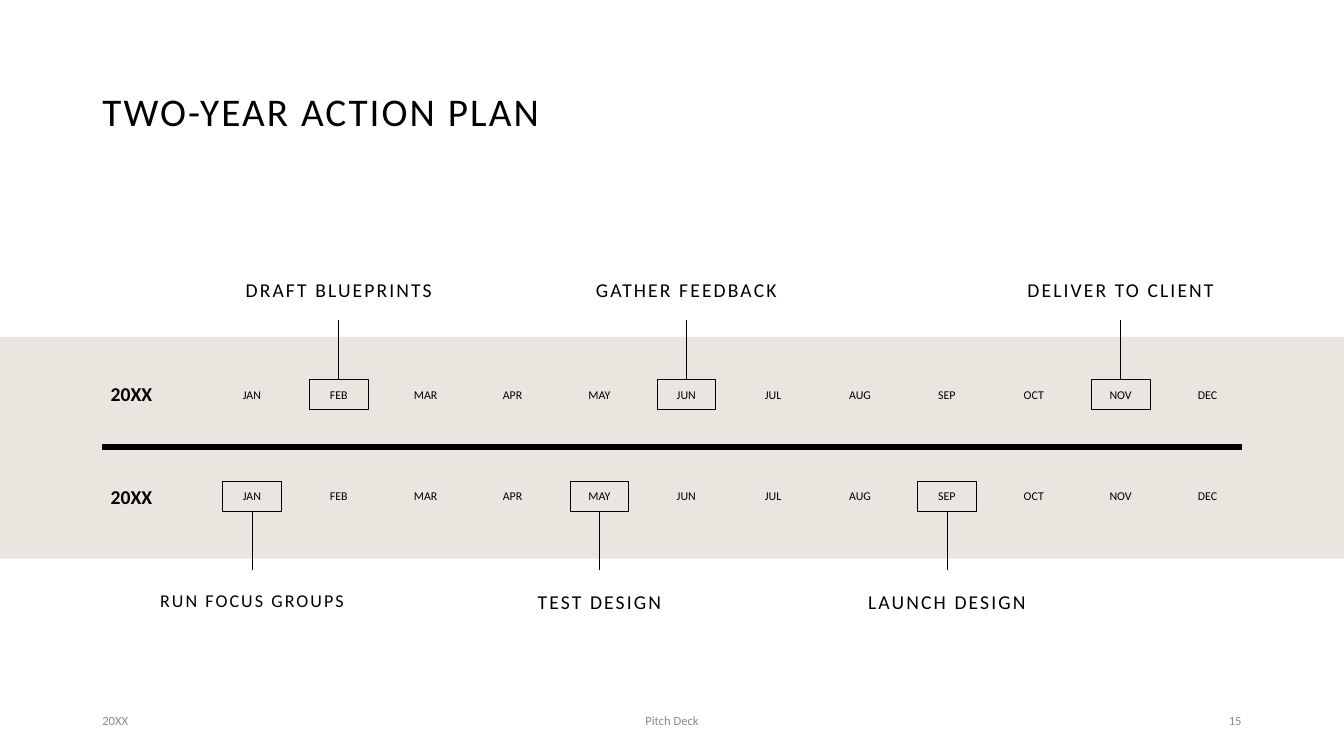
from dataclasses import dataclass

import pptx
import pptx.dml.color
import pptx.enum.shapes
import pptx.enum.text
import pptx.oxml.ns
import pptx.util
from lxml import etree

Pt = pptx.util.Pt
RGB = pptx.dml.color.RGBColor
Align = pptx.enum.text.PP_ALIGN
Anchor = pptx.enum.text.MSO_ANCHOR
Shape = pptx.enum.shapes.MSO_SHAPE


@dataclass(frozen=True)
class Theme:
    font: str = "Calibri"
    ink: RGB = RGB(0, 0, 0)
    band: RGB = RGB(0xE9, 0xE6, 0xDF)
    muted: RGB = RGB(0x8C, 0x8C, 0x8C)
    title: float = 28
    label: float = 14
    month: float = 8.5
    footer: float = 9
    tracking: float = 1.5


@dataclass(frozen=True)
class Style:
    size: float
    color: RGB = Theme.ink
    align: Align = Align.CENTER
    anchor: Anchor = Anchor.TOP
    spacing: float = 1.0
    before: float = 0
    bold: bool = False
    tracking: float = 0


@dataclass(frozen=True)
class Milestone:
    month: str
    text: str
    size: float = Theme.label


@dataclass(frozen=True)
class YearRow:
    year: str
    year_top: float
    month_top: float
    box_top: float
    tick_end: float
    label_top: float
    label_anchor: Anchor
    box_site: int
    milestones: tuple[Milestone, ...]


MONTHS = ("JAN", "FEB", "MAR", "APR", "MAY", "JUN",
          "JUL", "AUG", "SEP", "OCT", "NOV", "DEC")
FIRST_MONTH, MONTH_STEP = 180, 62.05
BOX_W, BOX_H = 42, 21.6
LABEL_W, LABEL_H = 162, 44

ROWS = (
    YearRow("20XX", 264.2, 275.8, 270.8, 228.8, 175, Anchor.BOTTOM, 0, (
        Milestone("FEB", "DRAFT BLUEPRINTS"),
        Milestone("JUN", "GATHER FEEDBACK"),
        Milestone("NOV", "DELIVER TO CLIENT"))),
    YearRow("20XX", 337.7, 348.5, 343.6, 407.5, 409.7, Anchor.TOP, 2, (
        Milestone("JAN", "RUN FOCUS GROUPS", 12.9),
        Milestone("MAY", "TEST DESIGN"),
        Milestone("SEP", "LAUNCH DESIGN"))),
)

TITLE = Style(Theme.title, align=Align.LEFT, anchor=Anchor.MIDDLE,
              spacing=0.9, tracking=Theme.tracking)
YEAR = Style(Theme.label, align=Align.LEFT, anchor=Anchor.MIDDLE,
             spacing=0.9, before=10, bold=True)
MONTH = Style(Theme.month, spacing=0.7, before=10)


def month_center(month: str) -> float:
    return FIRST_MONTH + MONTH_STEP * MONTHS.index(month)


def write(sp, text: str, style: Style) -> None:
    tf = sp.text_frame
    tf.word_wrap = True
    tf.auto_size = pptx.enum.text.MSO_AUTO_SIZE.NONE
    tf.vertical_anchor = style.anchor
    p = tf.paragraphs[0]
    p.text = text
    p.alignment = style.align
    p.line_spacing = style.spacing
    p.space_before = Pt(style.before)
    p.font.name = Theme.font
    p.font.size = Pt(style.size)
    p.font.bold = style.bold
    p.font.color.rgb = style.color
    if style.tracking:
        p.font._rPr.set("spc", str(int(style.tracking * 100)))


def add_text(s, x: float, y: float, w: float, h: float, text: str, style: Style) -> None:
    write(s.shapes.add_textbox(Pt(x), Pt(y), Pt(w), Pt(h)), text, style)


def add_rect(s, x: float, y: float, w: float, h: float,
             fill: RGB | None = None, line: float = 0):
    sp = s.shapes.add_shape(Shape.RECTANGLE, Pt(x), Pt(y), Pt(w), Pt(h))
    sp.shadow.inherit = False
    if fill is None:
        sp.fill.background()
    else:
        sp.fill.solid()
        sp.fill.fore_color.rgb = fill
    if line:
        sp.line.color.rgb = Theme.ink
        sp.line.width = Pt(line)
    else:
        sp.line.fill.background()
    return sp


def add_milestone(s, row: YearRow, item: Milestone) -> None:
    cx = month_center(item.month)
    box = add_rect(s, cx - BOX_W / 2, row.box_top, BOX_W, BOX_H, line=0.5)
    tick = s.shapes.add_connector(pptx.enum.shapes.MSO_CONNECTOR.STRAIGHT,
                                  Pt(cx), Pt(row.box_top), Pt(cx), Pt(row.tick_end))
    tick.begin_connect(box, row.box_site)
    tick.line.color.rgb = Theme.ink
    tick.line.width = Pt(0.5)
    etree.SubElement(tick._element.spPr, pptx.oxml.ns.qn("a:effectLst"))
    label = Style(item.size, anchor=row.label_anchor, spacing=1.5, before=10,
                  tracking=Theme.tracking)
    add_text(s, cx - LABEL_W / 2, row.label_top, LABEL_W, LABEL_H, item.text, label)


def add_year(s, row: YearRow) -> None:
    add_text(s, 72, row.year_top, 57.6, 36, row.year, YEAR)
    for month in MONTHS:
        add_text(s, month_center(month) - 25.2, row.month_top, 50.4, 15.8, month, MONTH)
    for item in row.milestones:
        add_milestone(s, row, item)


def main() -> None:
    prs = pptx.Presentation()
    prs.slide_width, prs.slide_height = Pt(960), Pt(540)
    s = prs.slides.add_slide(prs.slide_layouts[5])

    # Band and dividing bar
    add_rect(s, 0, 240.6, 960, 158.4, Theme.band)
    add_rect(s, 73.2, 317.4, 813.6, 3.6, Theme.ink, 1)

    # Title
    title = s.shapes.title
    title.left, title.top, title.width, title.height = Pt(66), Pt(28.8), Pt(828), Pt(104.4)
    write(title, "TWO-YEAR ACTION PLAN", TITLE)

    # Two years of months with their milestones
    for row in ROWS:
        add_year(s, row)

    # Footer
    for x, w, text, align in ((66, 216, "20XX", Align.LEFT),
                              (318, 324, "Pitch Deck", Align.CENTER),
                              (678, 216, "15", Align.RIGHT)):
        add_text(s, x, 500.4, w, 28.8, text,
                 Style(Theme.footer, Theme.muted, align, Anchor.MIDDLE))

    prs.save("out.pptx")


if __name__ == "__main__":
    main()
